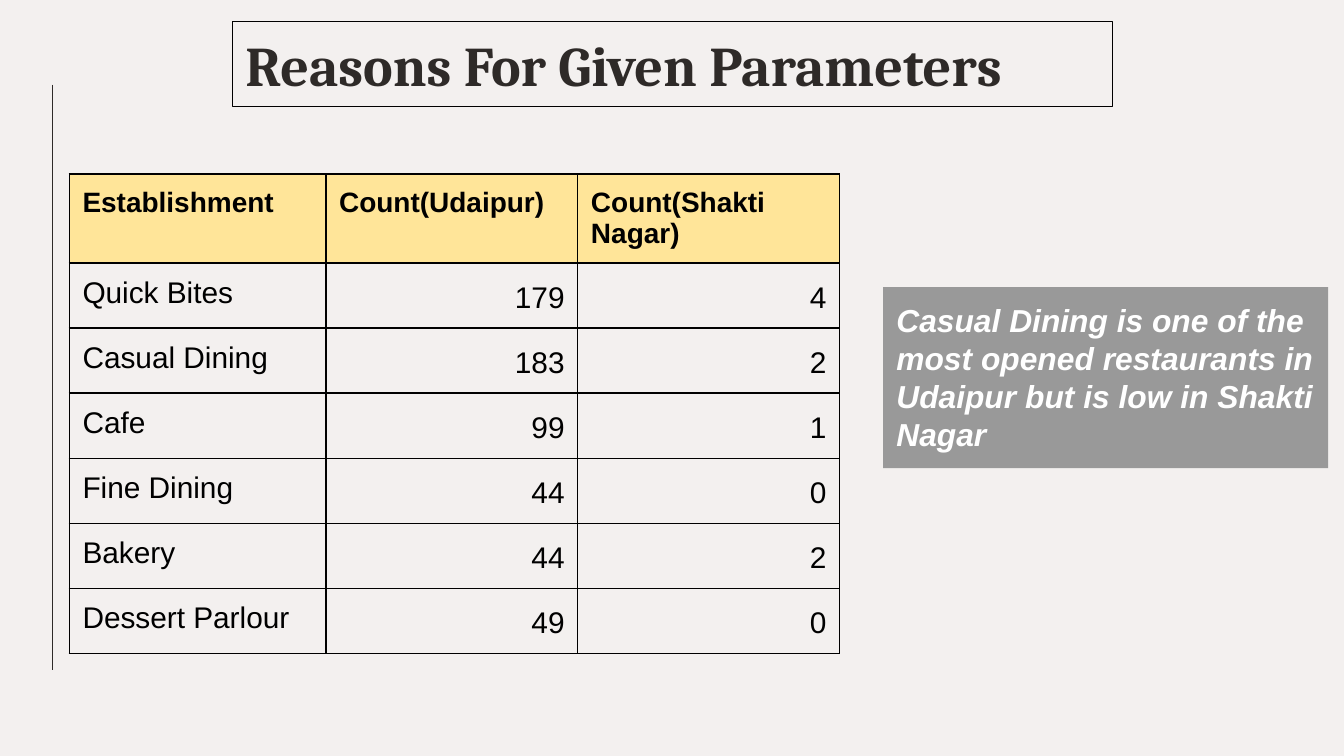
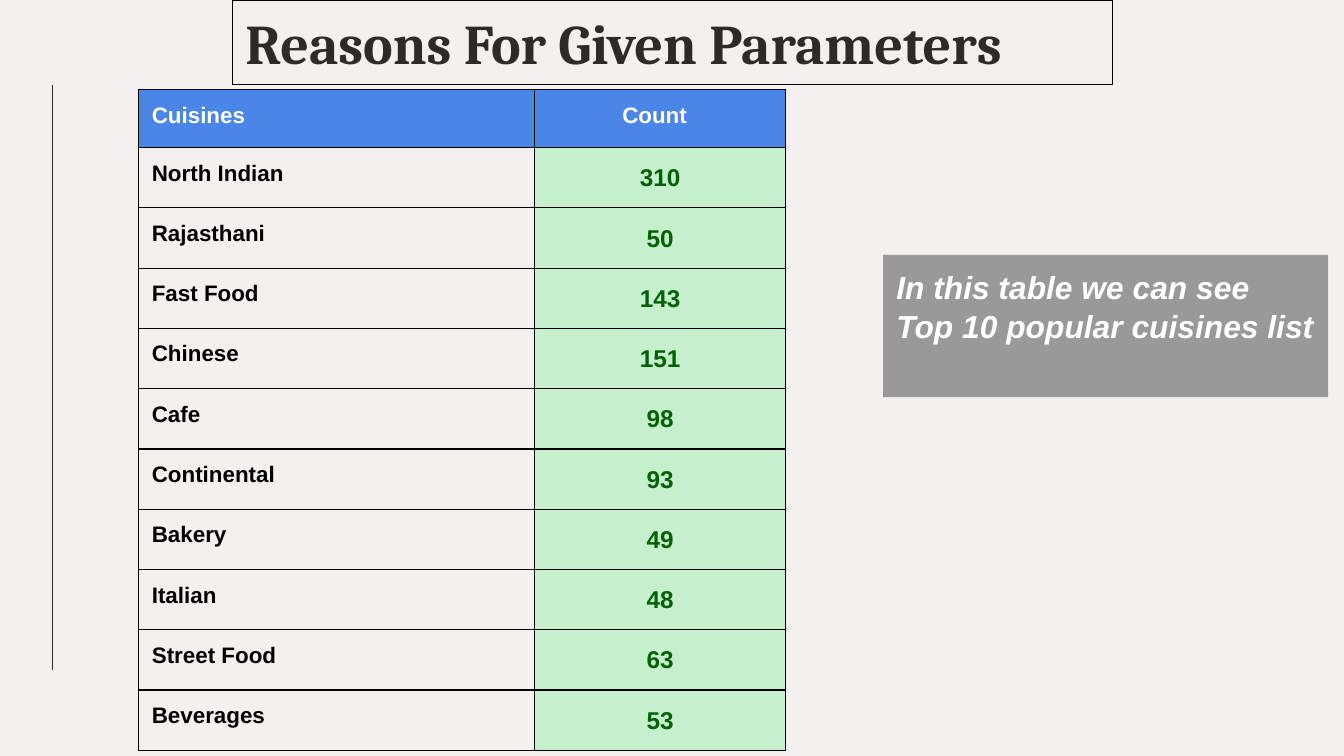
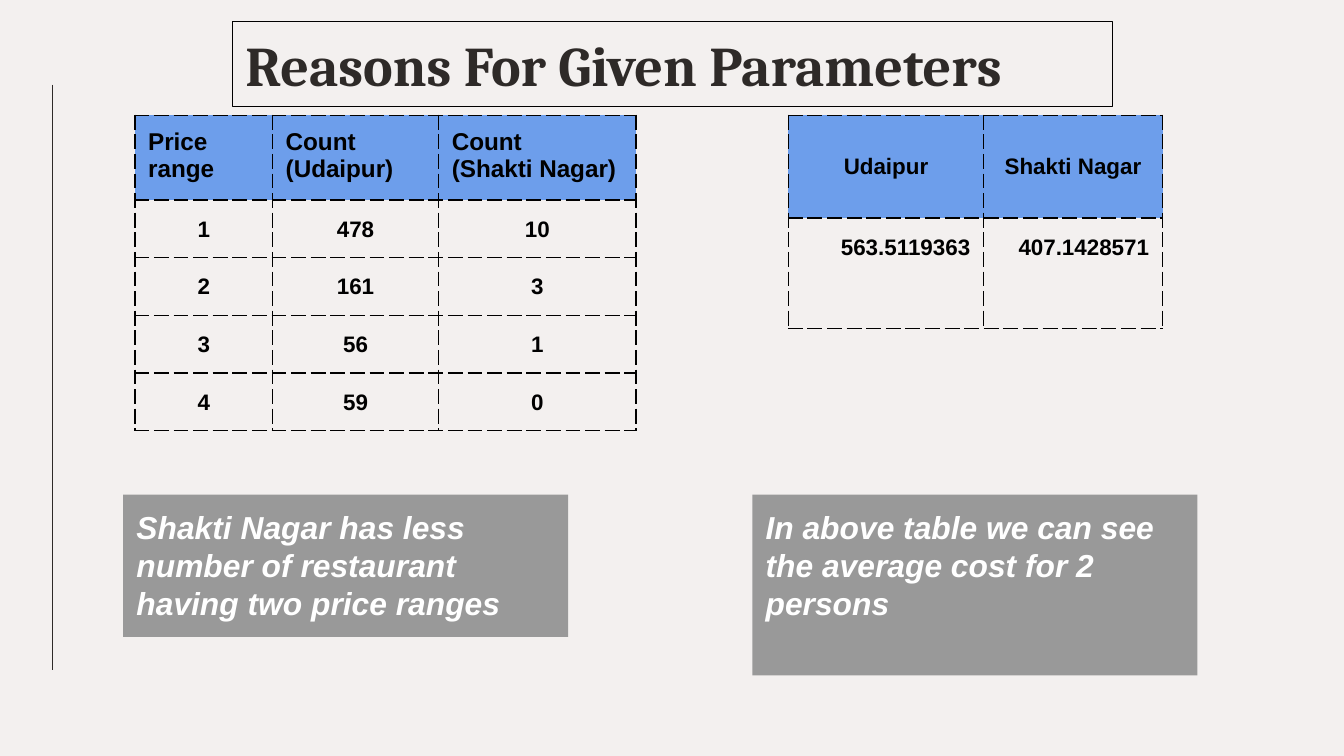
from dataclasses import dataclass, field, replace

from lxml.etree import SubElement
from pptx import Presentation
from pptx.dml.color import RGBColor
from pptx.enum.shapes import MSO_CONNECTOR, MSO_SHAPE
from pptx.enum.text import MSO_ANCHOR, PP_ALIGN
from pptx.oxml.ns import qn
from pptx.util import Cm, Pt


@dataclass(frozen=True)
class TextStyle:
    """Formatting of one kind of text and the area behind it."""
    size: int
    color: str = "000000"
    fill: str | None = None
    font: dict = field(default_factory=dict)
    paragraph: dict = field(default_factory=dict)
    area: dict = field(default_factory=dict)


BOLD = {"name": "Arial", "bold": True}
LEFT = {"alignment": PP_ALIGN.LEFT}
RIGHT = {"alignment": PP_ALIGN.RIGHT, "line_spacing": 1.15}
CENTER = {"alignment": PP_ALIGN.CENTER, "line_spacing": 1.15}


@dataclass(frozen=True)
class Theme:
    """Colours, type sizes and text styles of the deck."""
    background: str = "F3F0EF"
    ink: str = "2E2A28"
    border: str = "000000"
    line_width: float = 0.75
    inset: float = 0.25
    title = TextStyle(30, "2E2A28", None, {"name": "Cambria", "bold": True}, LEFT,
                      {"vertical_anchor": MSO_ANCHOR.MIDDLE})
    note = TextStyle(17, "FFFFFF", "999999", BOLD | {"italic": True}, LEFT,
                     {"vertical_anchor": MSO_ANCHOR.TOP})
    establishment_header = TextStyle(15, fill="FFE599", font=BOLD, paragraph=LEFT)
    establishment = TextStyle(16, font={"name": "Arial", "bold": False}, paragraph=LEFT)
    cuisine_header = TextStyle(12, "FFFFFF", "4A86E8", BOLD, LEFT)
    cuisine = TextStyle(12, font=BOLD, paragraph=LEFT)
    cuisine_count = TextStyle(13, "006100", "C6EFCE", BOLD, CENTER)
    price_header = TextStyle(13, fill="6D9EEB", font=BOLD, paragraph=LEFT)
    price = TextStyle(12, font=BOLD, paragraph=CENTER)
    cost_header = TextStyle(12, fill="6D9EEB", font=BOLD,
                            paragraph={"alignment": PP_ALIGN.CENTER},
                            area={"vertical_anchor": MSO_ANCHOR.MIDDLE})
    cost = TextStyle(12, font=BOLD, paragraph=RIGHT)


def apply(target, values):
    """Set each named attribute of the target."""
    for name, value in values.items():
        setattr(target, name, value)


class Deck:
    """Holds the theme and the current slide."""

    def __init__(self, theme):
        """Start a deck with the shared background."""
        self.theme = theme
        self.presentation = Presentation()
        apply(self.presentation, {"slide_width": Cm(25.4), "slide_height": Cm(14.29)})
        self.paint(self.presentation.slide_master.background.fill, theme.background)
        self.slide = None

    def paint(self, fill, color):
        """Fill with a solid colour, or with nothing."""
        if color is None:
            fill.background()
        else:
            fill.solid()
            fill.fore_color.rgb = RGBColor.from_string(color)

    def add_slide(self):
        """Add a blank slide with the rail at its left edge."""
        self.slide = self.presentation.slides.add_slide(self.presentation.slide_layouts[6])
        rail = self.slide.shapes.add_connector(
            MSO_CONNECTOR.STRAIGHT, Cm(0.99), Cm(1.6), Cm(0.99), Cm(12.67))
        rail.line.width = Pt(self.theme.line_width)
        rail.line.color.rgb = RGBColor.from_string(self.theme.ink)
        SubElement(rail._element.spPr, qn("a:effectLst"))

    def set_text(self, area, frame, text, style):
        """Put styled text into a cell or a text frame."""
        frame.text = text
        frame.word_wrap = True
        sides = ("left", "top", "right", "bottom")
        apply(area, {f"margin_{side}": Cm(self.theme.inset) for side in sides} | style.area)
        for paragraph in frame.paragraphs:
            apply(paragraph, style.paragraph)
            apply(paragraph.font, style.font | {"size": Pt(style.size)})
            paragraph.font.color.rgb = RGBColor.from_string(style.color)

    def add_box(self, text, style, left, top, width, height):
        """Add a rectangle with text and return it."""
        shape = self.slide.shapes.add_shape(
            MSO_SHAPE.RECTANGLE, Cm(left), Cm(top), Cm(width), Cm(height))
        shape.shadow.inherit = False
        self.paint(shape.fill, style.fill)
        shape.line.fill.background()
        self.set_text(shape.text_frame, shape.text_frame, text, style)
        return shape

    def add_title(self, text, top=0.41):
        """Add the outlined slide title."""
        shape = self.add_box(text, self.theme.title, 4.39, top, 16.64, 1.6)
        self.paint(shape.line.fill, self.theme.border)
        shape.line.width = Pt(self.theme.line_width)

    def add_note(self, text, left, top, height):
        """Add a grey remark."""
        self.add_box(text, self.theme.note, left, top, 8.41, height)

    def add_borders(self, cell, dash):
        """Draw the four borders of a cell."""
        properties = cell._tc.get_or_add_tcPr()
        for side in "LRTB":
            line = SubElement(properties, qn(f"a:ln{side}"), w=str(Pt(self.theme.line_width)))
            solid = SubElement(line, qn("a:solidFill"))
            SubElement(solid, qn("a:srgbClr"), val=self.theme.border)
            SubElement(line, qn("a:prstDash"), val=dash)

    def add_table(self, rows, headers, columns, left, top, widths, header_height,
                  row_height, dash="solid"):
        """Add a table with one header style and one body style per column."""
        heights = [header_height] + [row_height] * (len(rows) - 1)
        table = self.slide.shapes.add_table(
            len(rows), len(widths), Cm(left), Cm(top), Cm(sum(widths)), Cm(sum(heights))).table
        apply(table, {"first_row": False, "horz_banding": False})
        for column, width in zip(table.columns, widths):
            column.width = Cm(width)
        for row_index, (row, height) in enumerate(zip(rows, heights)):
            table.rows[row_index].height = Cm(height)
            styles = columns if row_index else headers
            for column_index, (text, style) in enumerate(zip(row, styles)):
                cell = table.cell(row_index, column_index)
                self.add_borders(cell, dash)
                self.paint(cell.fill, style.fill)
                self.set_text(cell, cell.text_frame, text, style)


TITLE = "Reasons For Given Parameters"
ESTABLISHMENTS = [
    ("Establishment", "Count(Udaipur)", "Count(Shakti Nagar)"),
    ("Quick Bites", "179", "4"),
    ("Casual Dining", "183", "2"),
    ("Cafe", "99", "1"),
    ("Fine Dining", "44", "0"),
    ("Bakery", "44", "2"),
    ("Dessert Parlour", "49", "0"),
]
CUISINES = [
    ("Cuisines", "Count"),
    ("North Indian", "310"),
    ("Rajasthani", "50"),
    ("Fast Food", "143"),
    ("Chinese", "151"),
    ("Cafe", "98"),
    ("Continental", "93"),
    ("Bakery", "49"),
    ("Italian", "48"),
    ("Street Food", "63"),
    ("Beverages", "53"),
]
PRICE_RANGES = [
    ("Price\nrange", "Count\n(Udaipur)", "Count\n(Shakti Nagar)"),
    ("1", "478", "10"),
    ("2", "161", "3"),
    ("3", "56", "1"),
    ("4", "59", "0"),
]
AVERAGE_COSTS = [("Udaipur", "Shakti Nagar"), ("563.5119363", "407.1428571")]


def add_establishments(deck):
    """Build the slide on kinds of establishment."""
    theme = deck.theme
    count = replace(theme.establishment, paragraph=RIGHT)
    deck.add_slide()
    deck.add_title(TITLE)
    deck.add_table(ESTABLISHMENTS, [theme.establishment_header] * 3,
                   [theme.establishment, count, count],
                   1.31, 3.29, (4.85, 4.76, 4.95), 1.68, 1.23)
    deck.add_note("Casual Dining is one of the most opened restaurants in Udaipur "
                  "but is low in Shakti Nagar", 16.69, 5.43, 3.42)


def add_cuisines(deck):
    """Build the slide on popular cuisines."""
    theme = deck.theme
    count_header = replace(theme.cuisine_header, area={"margin_left": Cm(1.66)})
    deck.add_slide()
    deck.add_note("In this table we can see Top 10 popular cuisines list", 16.69, 4.82, 2.69)
    deck.add_table(CUISINES, [theme.cuisine_header, count_header],
                   [theme.cuisine, theme.cuisine_count],
                   2.62, 1.69, (7.48, 4.75), 1.1, 1.14)
    deck.add_title(TITLE, top=0)


def add_prices(deck):
    """Build the slide on price ranges and average costs."""
    theme = deck.theme
    deck.add_slide()
    deck.add_note("Shakti Nagar has less number of restaurant having two price ranges",
                  2.33, 9.35, 2.69)
    deck.add_table(PRICE_RANGES, [theme.price_header] * 3, [theme.price] * 3,
                   2.55, 2.18, (2.6, 3.14, 3.73), 1.6, 1.09, "dash")
    deck.add_table(AVERAGE_COSTS, [theme.cost_header] * 2, [theme.cost] * 2,
                   14.9, 2.18, (3.69, 3.38), 1.94, 2.09, "dash")
    deck.add_note("In above table we can see the average cost for 2 persons",
                  14.22, 9.35, 3.42)
    deck.add_title(TITLE)


def main():
    """Build and save the deck."""
    deck = Deck(Theme())
    add_establishments(deck)
    add_cuisines(deck)
    add_prices(deck)
    deck.presentation.save("out.pptx")


if __name__ == "__main__":
    main()
